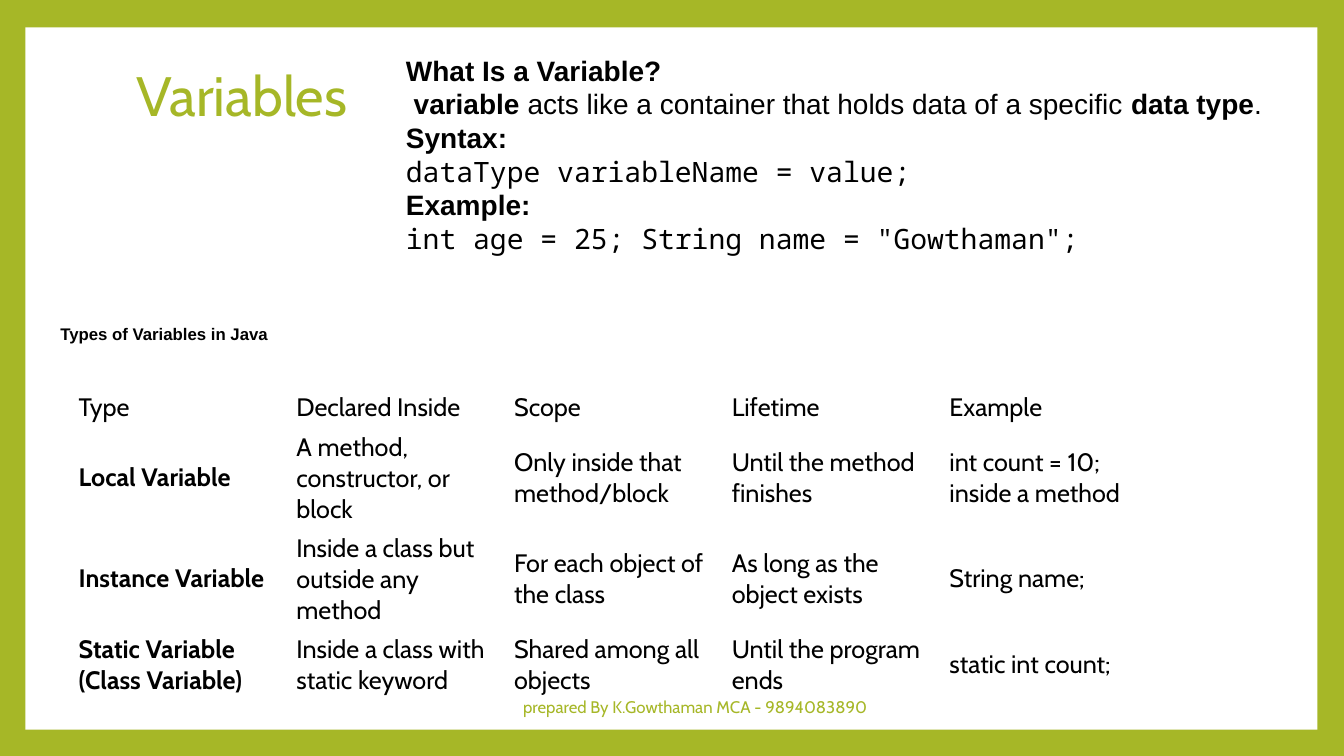
from pptx import Presentation
from pptx.dml.color import RGBColor
from pptx.enum.shapes import MSO_SHAPE
from pptx.enum.text import MSO_ANCHOR, PP_ALIGN
from pptx.util import Cm, Pt

GREEN = RGBColor(0xA6, 0xB7, 0x27)
WHITE = RGBColor(0xFF, 0xFF, 0xFF)
BLACK = RGBColor(0, 0, 0)
RECTANGLE = MSO_SHAPE.RECTANGLE
TOP, MIDDLE = MSO_ANCHOR.TOP, MSO_ANCHOR.MIDDLE
LEFT, CENTER = PP_ALIGN.LEFT, PP_ALIGN.CENTER
HEADING_FONT, BODY_FONT, CODE_FONT = "Cabin", "Arial", "Noto Sans Mono"

# Each line is a list of (text, font, bold) runs
DEFINITION = [
    [("What Is a Variable?", BODY_FONT, True)],
    [(" ", BODY_FONT, False),
     ("variable", BODY_FONT, True),
     (" acts like a container that holds data of a specific ", BODY_FONT, False),
     ("data type", BODY_FONT, True),
     (".", BODY_FONT, False)],
    [("Syntax:", BODY_FONT, True)],
    [("dataType variableName = value;", CODE_FONT, False)],
    [("Example:", BODY_FONT, True)],
    [('int age = 25; String name = "Gowthaman";', CODE_FONT, False)],
]

VARIABLE_TYPES = [
    ["Type", "Declared Inside", "Scope", "Lifetime", "Example"],
    ["Local Variable", "A method, constructor, or block",
     "Only inside that method/block", "Until the method finishes",
     "int count = 10; inside a method"],
    ["Instance Variable", "Inside a class but outside any method",
     "For each object of the class", "As long as the object exists",
     "String name;"],
    ["Static Variable (Class Variable)", "Inside a class with static keyword",
     "Shared among all objects", "Until the program ends",
     "static int count;"],
]
ROW_HEIGHTS = [1.02, 2.54, 2.54, 1.78]


def format_run(run, font, size, color, bold=False):
    run.font.name = font
    run.font.size = Pt(size)
    run.font.color.rgb = color
    run.font.bold = bold


def add_text_frame(slide, box, anchor):
    text_frame = slide.shapes.add_textbox(*map(Cm, box)).text_frame
    text_frame.word_wrap = True
    text_frame.vertical_anchor = anchor
    return text_frame


def add_label(slide, box, text, font, size, color,
              bold=False, anchor=MIDDLE, alignment=LEFT):
    text_frame = add_text_frame(slide, box, anchor)
    text_frame.text = text
    paragraph = text_frame.paragraphs[0]
    paragraph.alignment = alignment
    format_run(paragraph.runs[0], font, size, color, bold)


def add_frame(slide, box):
    """Green background with a white panel on it."""
    slide.background.fill.solid()
    slide.background.fill.fore_color.rgb = GREEN
    panel = slide.shapes.add_shape(RECTANGLE, *map(Cm, box))
    panel.shadow.inherit = False
    panel.fill.solid()
    panel.fill.fore_color.rgb = WHITE
    panel.line.fill.background()


def add_definition(slide, box):
    text_frame = add_text_frame(slide, box, TOP)
    text_frame.margin_right = 0
    for index, line in enumerate(DEFINITION):
        paragraph = text_frame.add_paragraph() if index else text_frame.paragraphs[0]
        paragraph.line_spacing = Pt(24)
        for text, font, bold in line:
            run = paragraph.add_run()
            run.text = text
            format_run(run, font, 20, BLACK, bold)


def add_types_table(slide, box):
    column_count = len(VARIABLE_TYPES[0])
    table = slide.shapes.add_table(
        len(VARIABLE_TYPES), column_count, *map(Cm, box)).table
    table.first_row = False
    table.horz_banding = False
    for column in table.columns:
        column.width = Cm(box[2] / column_count)
    for row_index, (values, height) in enumerate(zip(VARIABLE_TYPES, ROW_HEIGHTS)):
        table.rows[row_index].height = Cm(height)
        for column_index, value in enumerate(values):
            cell = table.cell(row_index, column_index)
            cell.fill.background()
            cell.vertical_anchor = MIDDLE
            cell.text = value
            is_type_name = row_index > 0 and column_index == 0
            format_run(cell.text_frame.paragraphs[0].runs[0],
                       HEADING_FONT, 18, BLACK, is_type_name)


def main():
    presentation = Presentation()
    presentation.slide_width = Cm(33.87)
    presentation.slide_height = Cm(19.05)
    slide = presentation.slides.add_slide(presentation.slide_layouts[6])

    add_frame(slide, (0.64, 0.69, 32.56, 17.7))
    # Title and definition
    add_label(slide, (3.18, 1.7, 6.05, 1.37), "Variables",
              HEADING_FONT, 39.6, GREEN)
    add_definition(slide, (9.98, 1.22, 22.23, 7.09))
    # Kinds of variables
    add_types_table(slide, (1.73, 9.75, 27.43, sum(ROW_HEIGHTS)))
    add_label(slide, (1.27, 8.04, 5.89, 1.55), "Types of Variables in Java",
              BODY_FONT, 12, BLACK, bold=True, anchor=TOP)
    # Footer
    add_label(slide, (10.97, 17.3, 13.11, 1.02),
              "prepared By K.Gowthaman MCA - 9894083890",
              HEADING_FONT, 12, GREEN, alignment=CENTER)

    presentation.save("out.pptx")


if __name__ == "__main__":
    main()
